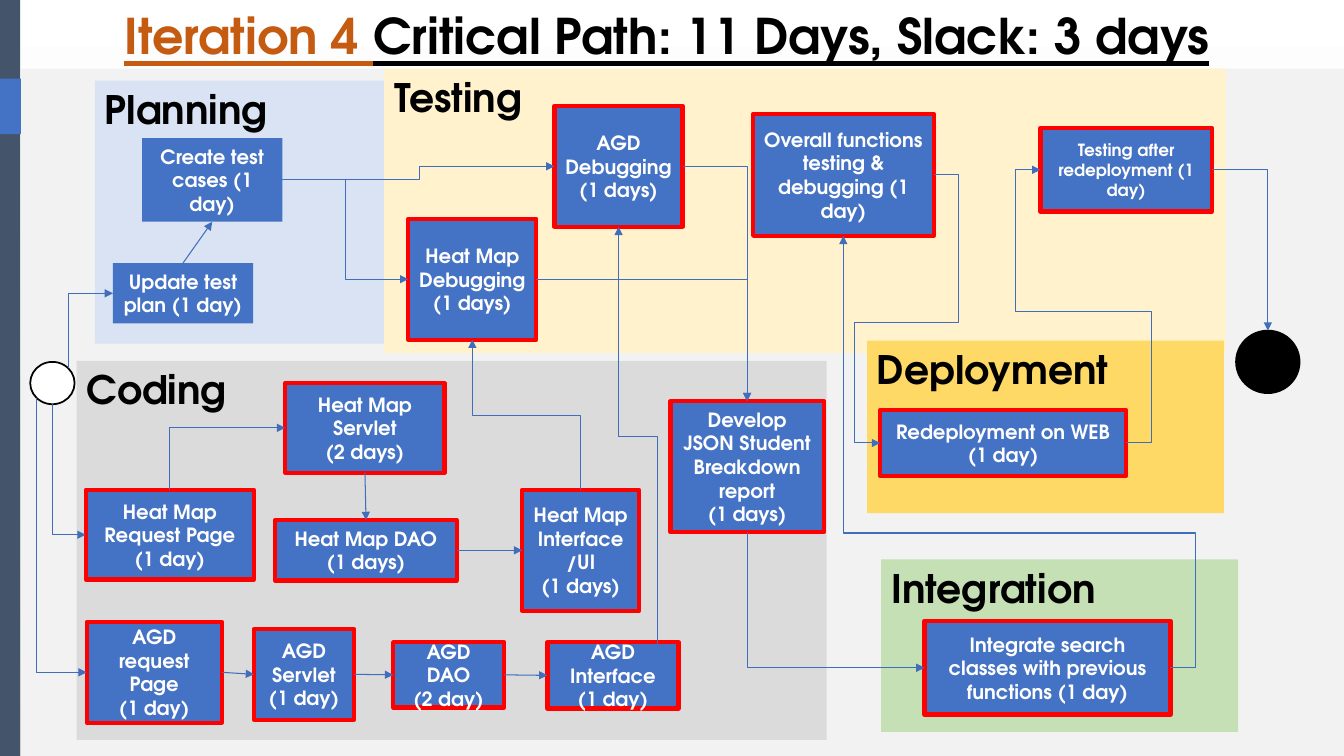
from math import cos, radians, sin

from lxml.etree import SubElement
from pptx import Presentation
from pptx.dml.color import RGBColor
from pptx.enum.shapes import MSO_CONNECTOR as Link, MSO_SHAPE as Preset
from pptx.enum.text import MSO_ANCHOR as Anchor, MSO_AUTO_SIZE as Fit, PP_ALIGN as Align
from pptx.oxml.ns import qn
from pptx.util import Inches, Pt

FONT = "TeX Gyre Adventor"
BLACK, WHITE, BLUE, RED = "000000", "FFFFFF", "4472C4", "FF0000"
SLATE, GREY, LINK = "44546A", "F2F2F2", "416DBB"

PANELS = [
    ("Coding", (0.76, 3.58, 7.44, 3.76), "DBDBDB"),
    ("Planning", (0.94, 0.8, 2.89, 2.61), "DAE3F3"),
    ("Testing", (3.81, 0.68, 8.35, 2.82), "FFF2CC"),
    ("Integration", (8.74, 5.55, 3.54, 1.71), "C5E0B4"),
    ("Deployment", (8.6, 3.38, 3.54, 1.71), "FFD966"),
]

PLANNED = {
    "plan": ("Update test plan (1 day)", (1.12, 2.61, 1.39, 0.6)),
    "cases": ("Create test cases (1 day)", (1.41, 1.37, 1.39, 0.83)),
}

CRITICAL = {
    "map page": ("Heat Map Request Page\n(1 day)", (0.85, 4.86, 1.67, 0.89)),
    "overall": ("Overall functions testing & debugging (1 day)", (7.47, 1.13, 1.79, 1.21)),
    "map servlet": ("Heat Map Servlet\n(2 days)", (2.83, 3.8, 1.58, 0.89)),
    "agd page": ("AGD request Page\n(1 day)", (0.86, 6.17, 1.34, 1)),
    "integrate": ("Integrate search classes with previous functions (1 day)",
                  (9.17, 6.16, 2.44, 0.93)),
    "retest": ("Testing after redeployment (1 day)", (10.32, 1.27, 1.7, 0.83)),
    "map dao": ("Heat Map DAO\n(1 days)", (2.73, 5.16, 1.8, 0.6)),
    "agd servlet": ("AGD Servlet\n(1 day)", (2.52, 6.24, 0.99, 0.9)),
    "agd dao": ("AGD DAO\n(2 day)", (3.9, 6.37, 1.1, 0.65)),
    "agd interface": ("AGD Interface\n(1 day)", (5.43, 6.37, 1.3, 0.66)),
    "redeploy": ("Redeployment on WEB (1 day)", (8.73, 4.07, 2.44, 0.65)),
    "map interface": ("Heat Map Interface /UI\n(1 days)", (5.18, 4.86, 1.16, 1.2)),
    "map debug": ("Heat Map Debugging\n(1 days)", (4.05, 2.17, 1.27, 1.2)),
    "agd debug": ("AGD Debugging\n(1 days)", (5.5, 1.05, 1.27, 1.2)),
    "report": ("Develop JSON Student Breakdown report\n(1 days)", (6.65, 3.98, 1.52, 1.3)),
}

CIRCLES = {
    "start": ((0.3, 3.59, 0.44, 0.42), WHITE),
    "finish": ((12.26, 3.28, 0.63, 0.62), BLACK),
}

STRAIGHT = [
    (("plan", 0), ("cases", 2)),
    (("agd page", 3), ("agd servlet", 1)),
    (("agd servlet", 3), ("agd dao", 1)),
    (("agd dao", 3), ("agd interface", 1)),
    (("map servlet", 2), ("map dao", 0)),
    (("map dao", 3), ("map interface", 1)),
]

ELBOWS = [
    (("start", 4), ("map page", 1), []),
    (("start", 7), ("plan", 1), []),
    (("start", 3), ("agd page", 1), []),
    (("map page", 0), ("map servlet", 1), []),
    (("integrate", 3), ("overall", 2), [11.86, 5.29]),
    (("overall", 3), ("redeploy", 1), [9.51, 3.2, 8.48]),
    (("retest", 3), ("finish", 0), []),
    (("redeploy", 3), ("retest", 1), [11.42, 3.09, 10.07]),
    (("map interface", 0), ("map debug", 2), [4.12]),
    ((6.52, 6.41), ("agd debug", 2), [4.33]),
    (("report", 2), ("integrate", 1), []),
    (("cases", 3), ("agd debug", 1), [4.16]),
    (("cases", 3), ("map debug", 1), [3.43]),
    (("map debug", 3), ("report", 0), []),
    (("agd debug", 3), ("report", 0), []),
]


def color(code):
    """Turn a hex string into a colour."""
    return RGBColor.from_string(code)


def style(target, formats):
    """Set each attribute named in formats."""
    for name, value in formats.items():
        setattr(target, name, value)


def add_span(para, text, size, code, **extra):
    """Add a bold run to a paragraph."""
    span = para.add_run()
    span.text = text
    style(span.font, {"name": FONT, "size": Pt(size), "bold": True, **extra})
    span.font.color.rgb = color(code)


def add_box(page, place, fill, line=None, width=3, preset=Preset.RECTANGLE):
    """Add a flat filled shape."""
    box = page.shapes.add_shape(preset, *map(Inches, place))
    box.shadow.inherit = False
    box.fill.solid()
    box.fill.fore_color.rgb = color(fill)
    if line:
        box.line.color.rgb = color(line)
        box.line.width = Pt(width)
    else:
        box.line.fill.background()
    return box


def write(box, text, size, code, anchor, align):
    """Write one paragraph for each line of text."""
    frame = box.text_frame
    style(frame, {"word_wrap": True, "vertical_anchor": anchor})
    for index, line in enumerate(text.split("\n")):
        para = frame.add_paragraph() if index else frame.paragraphs[0]
        para.alignment = align
        add_span(para, line, size, code)


def add_title(page):
    """Place and write the title above the backdrop."""
    title = page.shapes.title
    title.element.getparent().append(title.element)
    place = {"left": 0, "top": 0, "width": 13.23, "height": 1.45}
    style(title, {name: Inches(value) for name, value in place.items()})
    style(title.text_frame, {"word_wrap": True, "auto_size": Fit.NONE,
                             "vertical_anchor": Anchor.TOP})
    para = title.text_frame.paragraphs[0]
    para.alignment = Align.CENTER
    add_span(para, "Iteration 4 ", 35.1, "C55A11", underline=True)
    add_span(para, "Critical Path: 11 Days, Slack: 3 days", 35.1, BLACK, underline=True)


def locate(stop, boxes):
    """Return the point of a connection site or a free point."""
    name, site = stop
    if name not in boxes:
        return Inches(name), Inches(site)
    box = boxes[name]
    turn = radians(site * (45 if name in CIRCLES else 90))
    return (round(box.left + box.width * (1 - sin(turn)) / 2),
            round(box.top + box.height * (1 - cos(turn)) / 2))


def add_arrow(page, boxes, start, end, kind=Link.STRAIGHT):
    """Add an arrow joined to the shapes at its ends."""
    arrow = page.shapes.add_connector(kind, *locate(start, boxes), *locate(end, boxes))
    joins = ((start, arrow.begin_connect, "a:stCxn"), (end, arrow.end_connect, "a:endCxn"))
    for (name, site), connect, tag in joins:
        if name in boxes:
            connect(boxes[name], site % 4)
            arrow.element.find(".//" + qn(tag)).set("idx", str(site))
    arrow.line.color.rgb = color(LINK)
    arrow.line.width = Pt(0.75)
    props = arrow.element.spPr
    SubElement(props.find(qn("a:ln")), qn("a:tailEnd"), type="triangle")
    SubElement(props, qn("a:effectLst"))
    return arrow


def add_elbow(page, boxes, start, end, bends):
    """Add a bent arrow whose inner segments lie at the given coordinates."""
    arrow = add_arrow(page, boxes, start, end, Link.ELBOW)
    origin, target = locate(start, boxes), locate(end, boxes)
    across, down = (b - a for a, b in zip(origin, target))
    sideways = start[0] in boxes and start[0] not in CIRCLES and start[1] % 2 == 1
    if sideways:
        turn, flips, size = 0, (across < 0, down < 0), (abs(across), abs(down))
    else:
        turn, flips, size = 270, (down > 0, across < 0), (abs(down), abs(across))
        if across > 0 > down:
            turn, flips = 90, (True, True)
    middle = [(a + b) / 2 for a, b in zip(origin, target)]
    style(arrow, {"left": round(middle[0] - size[0] / 2), "top": round(middle[1] - size[1] / 2),
                  "width": size[0], "height": size[1]})
    frame = arrow.element.spPr.find(qn("a:xfrm"))
    frame.set("rot", str(turn * 60000))
    for name, flip in zip(("flipH", "flipV"), flips):
        frame.set(name, str(int(flip)))
    shape = arrow.element.spPr.find(qn("a:prstGeom"))
    shape.set("prst", f"bentConnector{len(bends) + 2}")
    guides = shape.find(qn("a:avLst"))
    for index, bend in enumerate(bends):
        axis = (index + (not sideways)) % 2
        share = (Inches(bend) - origin[axis]) / (target[axis] - origin[axis])
        name = f"adj{index + 1}"
        SubElement(guides, qn("a:gd"), name=name, fmla=f"val {round(share * 100000)}")


def add_backdrop(page):
    """Paint the background, the side strip and the grey field."""
    fill = page.background.fill
    fill.gradient()
    fill.gradient_angle = 270
    for stop, code in zip(fill.gradient_stops, (WHITE, "E1DFDF")):
        stop.color.rgb = color(code)
    add_box(page, (0, 0, 0.2, 7.5), SLATE)
    add_box(page, (0, 0.78, 0.21, 0.55), BLUE)
    add_box(page, (0.21, 0.68, 13.12, 6.82), GREY)


def main():
    """Build the critical path slide."""
    deck = Presentation()
    deck.slide_width, deck.slide_height = Inches(13.33), Inches(7.5)
    page = deck.slides.add_slide(deck.slide_layouts[5])
    add_backdrop(page)
    add_title(page)
    for name, place, fill in PANELS:
        write(add_box(page, place, fill), name, 28, BLACK, Anchor.TOP, Align.LEFT)
    boxes = {}
    for tasks, line in ((PLANNED, None), (CRITICAL, RED)):
        for name, (text, place) in tasks.items():
            boxes[name] = add_box(page, place, BLUE, line)
            size = 12 if name == "retest" else 14
            write(boxes[name], text, size, WHITE, Anchor.MIDDLE, Align.CENTER)
    for name, (place, fill) in CIRCLES.items():
        boxes[name] = add_box(page, place, fill, BLACK, 1.25, Preset.OVAL)
    for start, end in STRAIGHT:
        add_arrow(page, boxes, start, end)
    for start, end, bends in ELBOWS:
        add_elbow(page, boxes, start, end, bends)
    deck.save("out.pptx")


if __name__ == "__main__":
    main()
